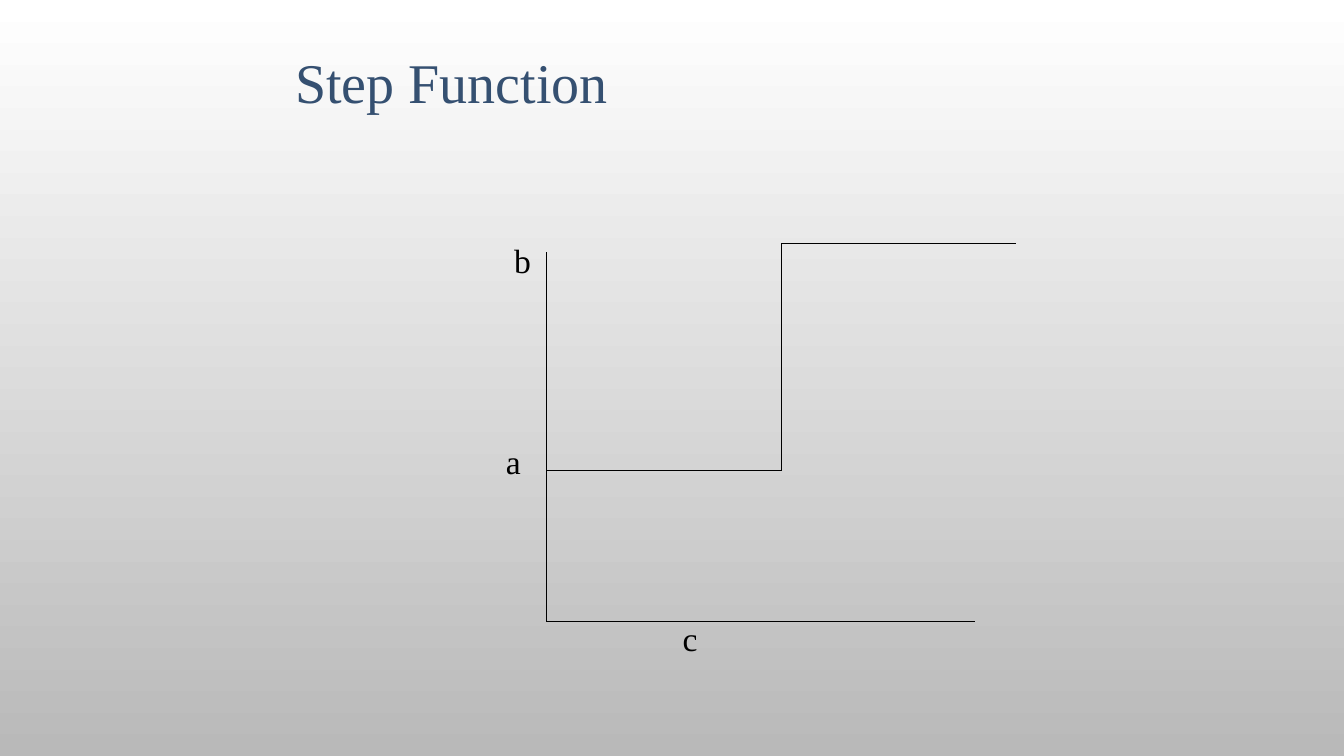
from lxml import etree
from pptx import Presentation
from pptx.dml.color import RGBColor
from pptx.enum.shapes import MSO_CONNECTOR
from pptx.enum.text import MSO_AUTO_SIZE
from pptx.oxml.ns import qn
from pptx.util import Inches, Pt

BLACK = RGBColor(0x00, 0x00, 0x00)
WHITE = RGBColor(0xFF, 0xFF, 0xFF)
GREY = RGBColor(0xB9, 0xB9, 0xB9)
NAVY = RGBColor(0x35, 0x50, 0x71)

ORIGIN_X, ORIGIN_Y = 5.42, 6.17
STEP_X = 7.75
LOW_Y, HIGH_Y = 4.67, 2.42

presentation = Presentation()
presentation.slide_width = Inches(13.33)
presentation.slide_height = Inches(7.5)
slide = presentation.slides.add_slide(presentation.slide_layouts[6])

backdrop = slide.background.fill
backdrop.gradient()
backdrop.gradient_angle = 270
for stop, color in zip(backdrop.gradient_stops, (WHITE, GREY)):
    stop.color.rgb = color

segments = [
    (ORIGIN_X, 2.5, ORIGIN_X, ORIGIN_Y),
    (ORIGIN_X, ORIGIN_Y, 9.67, ORIGIN_Y),
    (ORIGIN_X, LOW_Y, STEP_X, LOW_Y),
    (STEP_X, HIGH_Y, STEP_X, LOW_Y),
    (STEP_X, HIGH_Y, 10.08, HIGH_Y),
]
for ends in segments:
    segment = slide.shapes.add_connector(
        MSO_CONNECTOR.STRAIGHT, *(Inches(end) for end in ends))
    segment.line.color.rgb = BLACK
    segment.line.width = Pt(0.75)
    etree.SubElement(segment._element.spPr, qn("a:effectLst"))

labels = [
    ("Step Function", 2.83, 0.42, 5.25, 0.77, 0.1, 40, NAVY),
    ("b", 5, 2.33, 0.33, 0.5, 0.1, 24, BLACK),
    ("a", 4.92, 4.33, 0.42, 0.5, 0.1, 24, BLACK),
    ("c", 5.67, 6.08, 3.75, 0.5, 1.1, 24, BLACK),
]
for text, left, top, width, height, inset, size, color in labels:
    label = slide.shapes.add_textbox(
        Inches(left), Inches(top), Inches(width), Inches(height))
    frame = label.text_frame
    frame.word_wrap = True
    frame.auto_size = MSO_AUTO_SIZE.SHAPE_TO_FIT_TEXT
    frame.margin_left = Inches(inset)
    frame.text = text
    paragraph = frame.paragraphs[0]
    paragraph.space_before = Pt(size * 0.09)
    font = paragraph.runs[0].font
    font.name = "Times New Roman"
    font.size = Pt(size)
    font.color.rgb = color

presentation.save("out.pptx")
